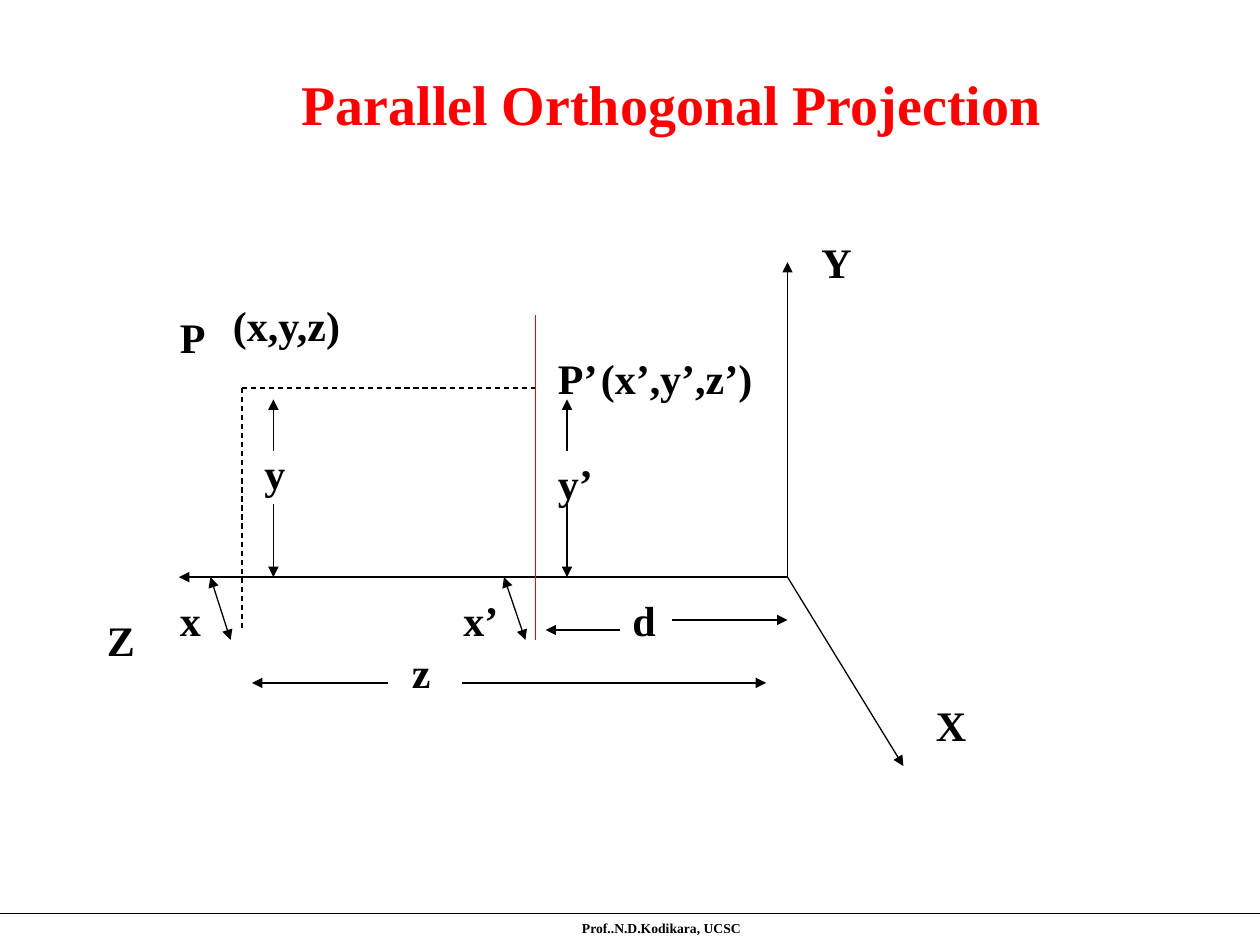
from lxml.etree import SubElement
from pptx import Presentation
from pptx.dml.color import RGBColor
from pptx.enum.dml import MSO_LINE
from pptx.enum.shapes import MSO_CONNECTOR
from pptx.enum.text import MSO_ANCHOR, MSO_AUTO_SIZE, PP_ALIGN
from pptx.oxml.ns import qn
from pptx.util import Inches, Pt

BLACK = RGBColor(0, 0, 0)
RED = RGBColor(255, 0, 0)
FONT = "Times New Roman"

# Content: text, left, top, width
TITLE = "Parallel Orthogonal Projection"
FOOTER = "Prof..N.D.Kodikara, UCSC"
LABELS = [
    ("P", 1.33, 2.42, 0.75),
    ("(x,y,z)", 1.75, 2.33, 1.33),
    ("P’", 4.33, 2.75, 0.75),
    ("(x’,y’,z’)", 4.67, 2.75, 1.42),
    ("X", 7.33, 5.5, 1),
    ("Y", 6.42, 1.83, 1),
    ("Z", 0.75, 4.83, 1),
    ("x", 1.33, 4.67, 0.5),
    ("y", 2, 3.5, 1),
    ("z", 3.17, 5.08, 1),
    ("x’", 3.58, 4.67, 0.5),
    ("y’", 4.33, 3.58, 1),
    ("d", 4.92, 4.67, 0.5),
]

# Key points of the drawing
ORIGIN = (6.25, 4.58)
AXIS = ORIGIN[1]
POINT = (1.92, 3.08)
PLANE = 4.25

# Arrows: start, end
AXES = [(ORIGIN, (6.25, 2.08)), (ORIGIN, (1.42, AXIS)), (ORIGIN, (7.17, 6.08))]
SPANS = [
    ((5.33, 4.92), (ORIGIN[0], 4.92)), ((4.92, 5), (4.33, 5)),    # d
    ((3.67, 5.42), (6.08, 5.42)), ((3.08, 5.42), (2, 5.42)),      # z
]
for left in (2.17, 4.5):                                          # y and y’
    SPANS += [((left, 3.58), (left, 3.17)), ((left, 4), (left, AXIS))]
DEPTHS = [((1.67, AXIS), (1.83, 5.08)), ((4, AXIS), (4.17, 5.08))]  # x and x’
DASHES = [(POINT, (PLANE, POINT[1])), (POINT, (POINT[0], 5))]

deck = Presentation()
deck.slide_width, deck.slide_height = Inches(10), Inches(7.5)
slide = deck.slides.add_slide(deck.slide_layouts[5])
shapes = slide.shapes


def draw(start, end, color=BLACK, dash=False, ends=()):
    """Draw a thin line; ends lists the tips that get an arrowhead."""
    line = shapes.add_connector(
        MSO_CONNECTOR.STRAIGHT, *(Inches(n) for n in start + end))
    line.line.color.rgb = color
    line.line.width = Pt(0.75)
    if dash:
        line.line.dash_style = MSO_LINE.DASH
    for tip in ends:
        SubElement(line.line._get_or_add_ln(), qn("a:" + tip), type="triangle")
    SubElement(line._element.spPr, qn("a:effectLst"))


def write(box, text, size, color=BLACK, align=PP_ALIGN.LEFT):
    frame = box.text_frame
    frame.word_wrap = True
    frame.auto_size = MSO_AUTO_SIZE.NONE
    frame.vertical_anchor = MSO_ANCHOR.TOP
    frame.text = text
    para = frame.paragraphs[0]
    para.alignment = align
    font = para.font
    font.name, font.size, font.bold = FONT, Pt(size), True
    font.color.rgb = color


def place(left, top, width, height):
    return shapes.add_textbox(*(Inches(n) for n in (left, top, width, height)))


# Title and footer
title = shapes.title
title.left, title.top = Inches(1.83), Inches(0.5)
title.width, title.height = Inches(7), Inches(0.64)
write(title, TITLE, 32, RED, PP_ALIGN.CENTER)
draw((0, 7.25), (10, 7.25))
write(place(0.75, 7.25, 9, 0.25), FOOTER, 7.8, align=PP_ALIGN.CENTER)

# Axes, projection plane and projectors
for start, end in AXES + SPANS:
    draw(start, end, ends=("tailEnd",))
for start, end in DEPTHS:
    draw(start, end, ends=("headEnd", "tailEnd"))
for start, end in DASHES:
    draw(start, end, dash=True)
draw((PLANE, 2.5), (PLANE, 5.08), RED)

# Labels
for text, left, top, width in LABELS:
    write(place(left, top, width, 0.5), text, 24)

deck.save("out.pptx")
